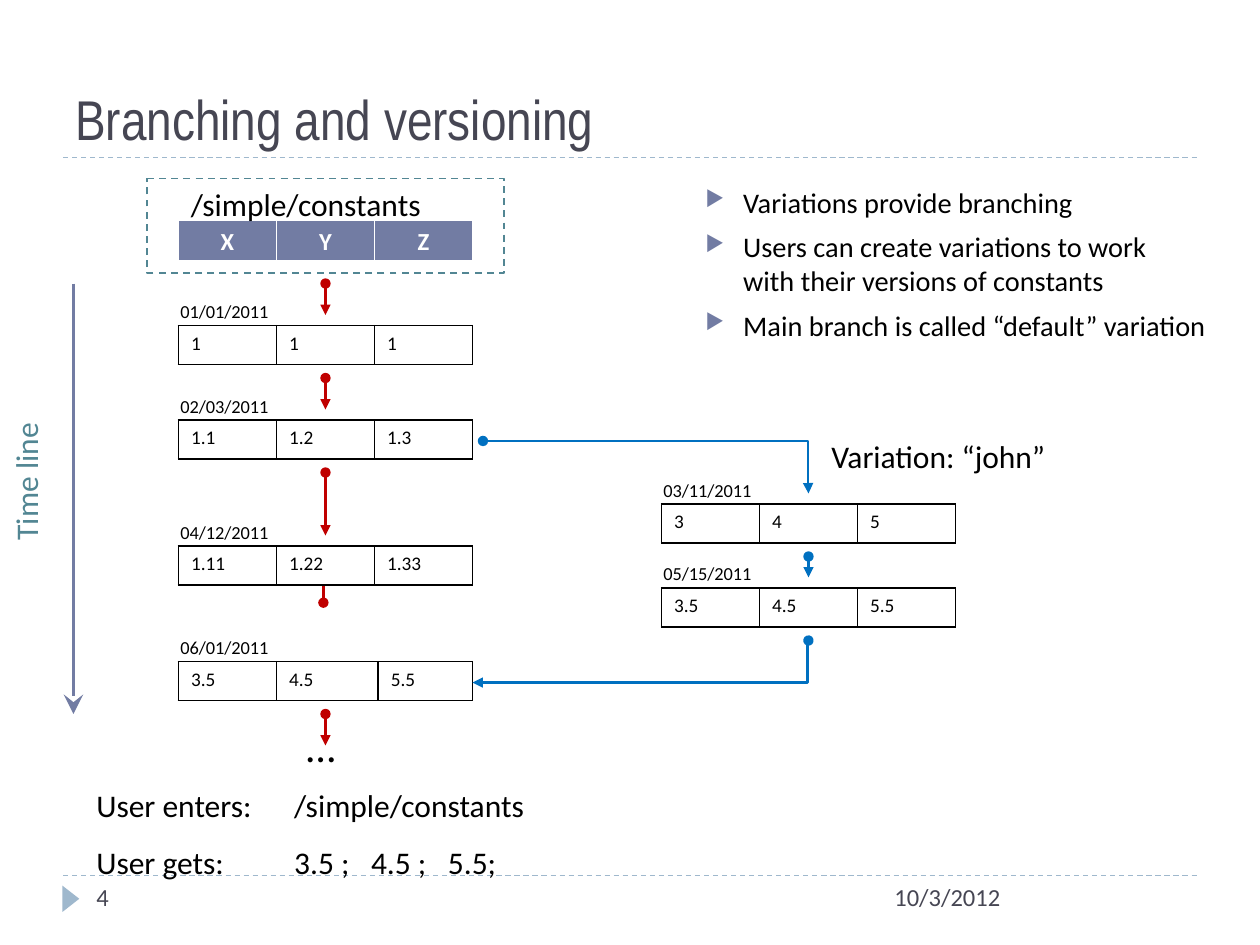
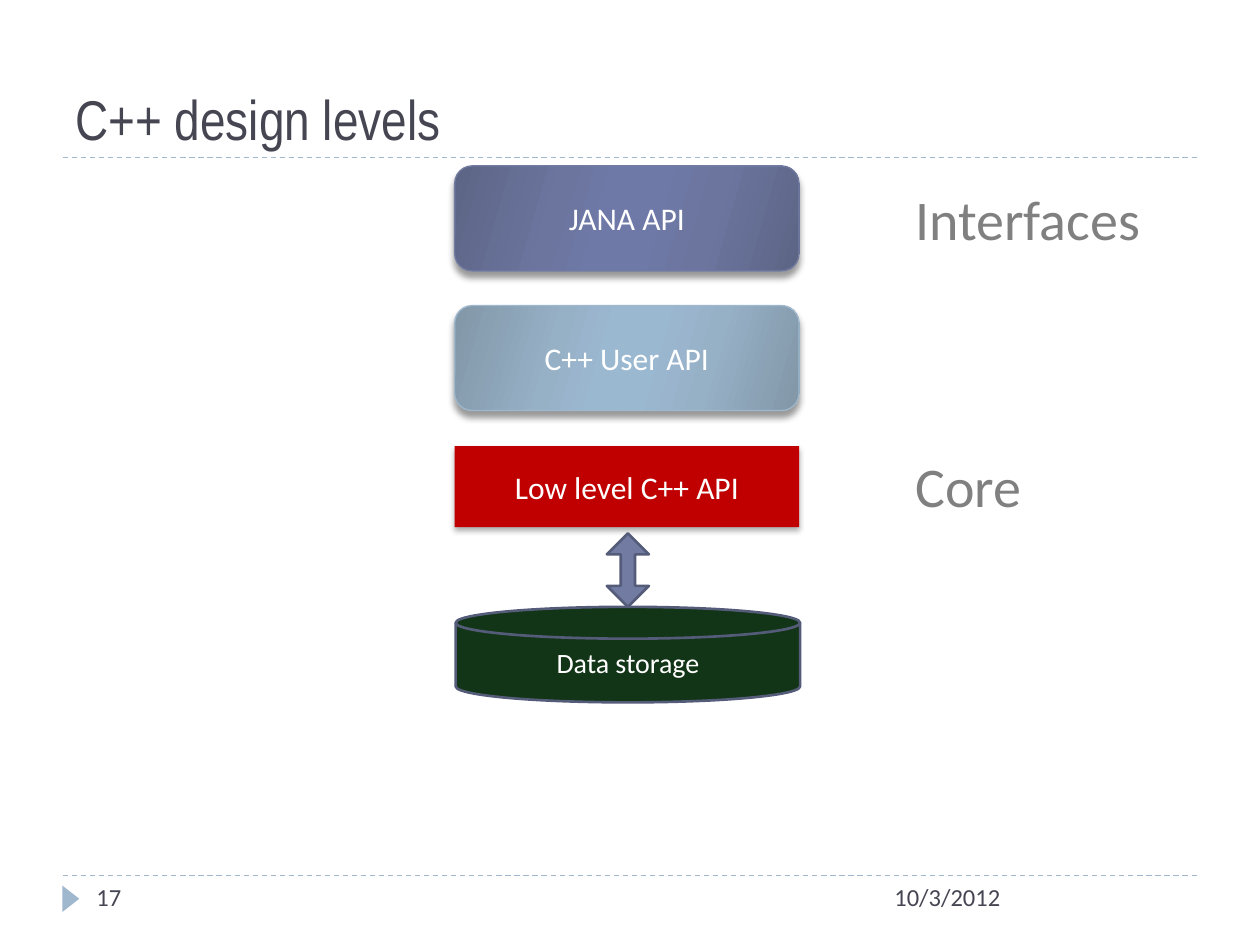
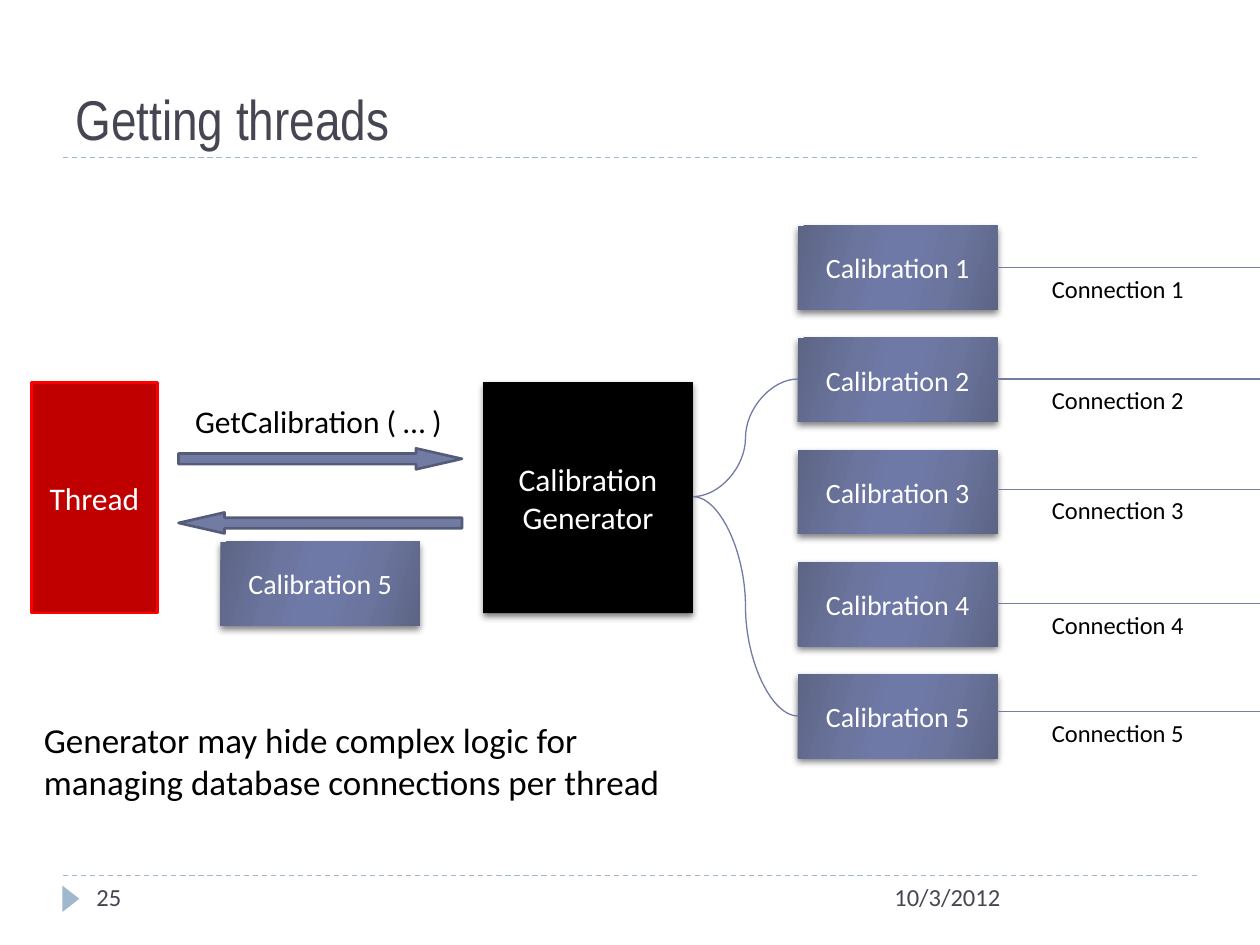
from lxml import etree
from pptx import Presentation
from pptx.dml.color import RGBColor
from pptx.enum.dml import MSO_LINE
from pptx.enum.shapes import MSO_CONNECTOR, MSO_SHAPE
from pptx.enum.text import MSO_ANCHOR, PP_ALIGN
from pptx.oxml.ns import qn
from pptx.util import Inches, Pt

DASH = MSO_LINE.DASH
STRAIGHT, ELBOW, CURVE = MSO_CONNECTOR.STRAIGHT, MSO_CONNECTOR.ELBOW, MSO_CONNECTOR.CURVE
RECT, ROUNDED = MSO_SHAPE.RECTANGLE, MSO_SHAPE.ROUNDED_RECTANGLE
TOP, MIDDLE, BOTTOM = MSO_ANCHOR.TOP, MSO_ANCHOR.MIDDLE, MSO_ANCHOR.BOTTOM
LEFT, CENTER = PP_ALIGN.LEFT, PP_ALIGN.CENTER

TITLE_FONT, BODY_FONT = "Arial Narrow", "Calibri"
COLOURS = {
    "white": "FFFFFF", "black": "000000", "title": "464653", "rule": "9FB8CD",
    "accent": "727CA3", "edge": "545C79", "teal": "528693", "grey": "808080",
    "main": "C00000", "variation": "0070C0", "alert": "FF0000", "storage": "133517",
}
STOPS = (0, 30, 45, 55, 73, 100)
GLOSS = {
    "accent": ("5D6585", "6B759E", "6E79A7"),
    "rule": ("8297A8", "96B0C6", "9BB8D1"),
}
# Opacity %, blur and distance in points
SOFT, FLAT, DEEP = (40, 4, 3.4), (32, 3.5, 2.2), (50, 4, 2)


# Grid: one cell is a twelfth of an inch, so a slide is 120 x 90 cells
def cells(*counts):
    return [Inches(count / 12) for count in counts]


def rgb(name):
    return RGBColor.from_string(COLOURS[name])


def add_xml(parent, tag, **attributes):
    return etree.SubElement(parent, qn(tag), {k: str(v) for k, v in attributes.items()})


def style(paragraph, size, colour, font=BODY_FONT, bold=None):
    paragraph.font.size = Pt(size)
    paragraph.font.name = font
    paragraph.font.bold = bold
    paragraph.font.color.rgb = rgb(colour)


def write(frame, text, size, colour, align=LEFT, anchor=TOP, font=BODY_FONT, wrap=True):
    frame.word_wrap = wrap
    frame.vertical_anchor = anchor
    frame.text = text
    for paragraph in frame.paragraphs:
        paragraph.alignment = align
        style(paragraph, size, colour, font)


def label(slide, box, text, size, colour="black", wrap=False, **options):
    area = slide.shapes.add_textbox(*cells(*box))
    write(area.text_frame, text, size, colour, wrap=wrap, **options)
    return area


def outline(line, colour, width, dash=None):
    line.color.rgb = rgb(colour)
    line.width = Pt(width)
    if dash:
        line.dash_style = dash


def block(slide, kind, box, fill, edge=None, width=1.5, dash=None, text="", size=18,
          shadow=None, gloss=False, adjust=()):
    shape = slide.shapes.add_shape(kind, *cells(*box))
    for index, value in enumerate(adjust):
        shape.adjustments[index] = value
    if gloss:
        shape.fill.gradient()
        polish(shape, GLOSS[fill])
    else:
        shape.fill.solid()
        shape.fill.fore_color.rgb = rgb(fill)
    if edge:
        outline(shape.line, edge, width, dash)
    else:
        shape.line.fill.background()
    shape.shadow.inherit = False
    if shadow:
        cast_shadow(shape, *shadow)
    if text:
        write(shape.text_frame, text, size, "white", CENTER, MIDDLE)
    return shape


def polish(shape, shades):
    gradient = shape._element.spPr.find(qn("a:gradFill"))
    stops = gradient.find(qn("a:gsLst"))
    stops.clear()
    for position, shade in zip(STOPS, shades + shades[::-1]):
        stop = add_xml(stops, "a:gs", pos=position * 1000)
        add_xml(stop, "a:srgbClr", val=shade)
    gradient.find(qn("a:lin")).set("ang", str(16 * 60000))


def cast_shadow(shape, opacity, blur, distance):
    effects = shape._element.spPr.find(qn("a:effectLst"))
    outer = add_xml(effects, "a:outerShdw", blurRad=Pt(blur), dist=Pt(distance),
                    dir=90 * 60000, rotWithShape=0)
    colour = add_xml(outer, "a:srgbClr", val=COLOURS["black"])
    add_xml(colour, "a:alpha", val=opacity * 1000)


def connect(slide, start, end, colour, width, kind=STRAIGHT, dash=None,
            head=None, tail=None, end_size="med", bend=None):
    connector = slide.shapes.add_connector(kind, *cells(*start, *end))
    outline(connector.line, colour, width, dash)
    properties = connector._element.spPr
    line = properties.find(qn("a:ln"))
    for tag, tip in (("a:headEnd", head), ("a:tailEnd", tail)):
        if tip:
            add_xml(line, tag, type=tip, w=end_size, len=end_size)
    if bend is not None:
        guides = properties.find(qn("a:prstGeom")).find(qn("a:avLst"))
        add_xml(guides, "a:gd", name="adj1", fmla=f"val {bend}")
    add_xml(properties, "a:effectLst")


# Title, rules and footer of every slide
def start_slide(deck, title, number):
    slide = deck.slides.add_slide(deck.slide_layouts[6])
    for row in (83.4, 15):
        connect(slide, (6, row), (114, row), "rule", 0.75, dash=DASH)
    marker = block(slide, MSO_SHAPE.ISOSCELES_TRIANGLE, (5.5, 84.8, 2.5, 1.6), "rule")
    marker.rotation = 90
    label(slide, (6, 2, 108, 13), title, 32, "title", wrap=True, anchor=BOTTOM, font=TITLE_FONT)
    label(slide, (84, 83.4, 30, 4.8), "10/3/2012", 14, "title", wrap=True)
    label(slide, (8, 83.4, 26, 4.8), str(number), 14, "title", wrap=True)
    return slide


# One-row table of constants
def constants_row(slide, box, values, header=False, widths=(1, 1, 1)):
    frame = slide.shapes.add_table(1, len(values), *cells(*box))
    table = frame.table
    table.first_row = table.horz_banding = False
    for column, share in zip(table.columns, widths):
        column.width = Inches(box[2] / 12 * share / sum(widths))
    for cell, value in zip(table.rows[0].cells, values):
        for side in "LRTB":
            width = 3 if header and side == "B" else 1
            border = add_xml(cell._tc.get_or_add_tcPr(), f"a:ln{side}", w=Pt(width))
            paint = add_xml(border, "a:solidFill")
            add_xml(paint, "a:srgbClr", val=COLOURS["white" if header else "black"])
        cell.text = value
        paragraph = cell.text_frame.paragraphs[0]
        if header:
            cell.fill.solid()
            cell.fill.fore_color.rgb = rgb("accent")
            paragraph.alignment = CENTER
            style(paragraph, 14, "white", bold=True)
        else:
            cell.fill.background()
            style(paragraph, 11, "black")


# Dated versions below each other, joined by arrows
def branch(slide, box, colour, versions, arrows):
    left, top, width = box
    for row, date, values, *widths in versions:
        constants_row(slide, (left, top + row, width, 3.7), values, False, *widths)
        label(slide, (left - 1, top + row - 3, 11, 3.4), date, 10.5)
    middle = left + width / 2
    for first, last in arrows:
        connect(slide, (middle, top + first), (middle, top + last), colour, 1.5,
                head="oval", tail="triangle")


def key_points(slide, box, points):
    frame = label(slide, box, "\n".join(points), 16.2, wrap=True).text_frame
    for index, paragraph in enumerate(frame.paragraphs):
        properties = paragraph._p.get_or_add_pPr()
        properties.set("marL", str(Inches(0.3)))
        properties.set("indent", str(-Inches(0.3)))
        properties.remove(properties.find(qn("a:defRPr")))
        if index:
            paragraph.space_before = Pt(6)
        bullet_colour = add_xml(properties, "a:buClr")
        add_xml(bullet_colour, "a:srgbClr", val=COLOURS["accent"])
        add_xml(properties, "a:buSzPct", val=76000)
        add_xml(properties, "a:buChar", char="▶")
        style(paragraph, 16.2, "black")


# What the user types and receives, aligned on tab stops
def user_session(slide, box, lines):
    panel = block(slide, RECT, box, "white", "white")
    frame = panel.text_frame
    frame.word_wrap = True
    frame.vertical_anchor = MIDDLE
    frame.text = "\n".join(lines)
    for paragraph in frame.paragraphs:
        paragraph.alignment = LEFT
        paragraph.line_spacing = 1.5
        stops = add_xml(paragraph._p.get_or_add_pPr(), "a:tabLst")
        for position in (1.57, 2.18, 2.79):
            add_xml(stops, "a:tab", pos=Inches(position), algn="l")
        style(paragraph, 18, "black")


def branching_slide(deck):
    slide = start_slide(deck, "Branching and versioning", 4)
    # Directory heading
    block(slide, MSO_SHAPE.FLOWCHART_PROCESS, (14, 17, 34, 9), "white", "teal", 1, DASH)
    constants_row(slide, (17, 21, 28, 4), "XYZ", header=True)
    label(slide, (17, 17, 25.2, 4.8), "/simple/constants", 18)
    # Time axis
    connect(slide, (7, 27), (7, 68), "accent", 2.25, tail="stealth", end_size="lg")
    label(slide, (-4.4, 43.4, 13.7, 4.8), "Time line", 18, "teal").rotation = 270
    # Main branch and variation
    branch(slide, (17, 17, 28), "main", [
        (14, "01/01/2011", ("1", "1", "1")),
        (23, "02/03/2011", ("1.1", "1.2", "1.3")),
        (35, "04/12/2011", ("1.11", "1.22", "1.33")),
        (46, "06/01/2011", ("3.5", "4.5", "5.5"), (0.78, 0.81, 0.75)),
    ], [(10, 13), (19, 22), (28, 34), (51, 54)])
    connect(slide, (30.8, 55.8), (30.8, 57.4), "main", 1.5, tail="oval")
    label(slide, (28, 68, 5.3, 6), "…", 24)
    branch(slide, (63, 41, 28), "variation", [
        (7, "03/11/2011", ("3", "4", "5")),
        (15, "05/15/2011", ("3.5", "4.5", "5.5")),
    ], [(12, 14)])
    label(slide, (78, 41, 23, 4.8), "Variation: “john”", 18)
    for start, end, bend in (((46, 42), (77, 47), 99900), ((77, 61), (45, 65), 300)):
        connect(slide, start, end, "variation", 1.5, ELBOW,
                head="oval", tail="triangle", bend=bend)
    key_points(slide, (66, 17, 51, 14), [
        "Variations provide branching",
        "Users can create variations to work \vwith their versions of constants",
        "Main branch is called “default” variation",
    ])
    user_session(slide, (8, 74, 78, 9), [
        "User enters:\t/simple/constants",
        "User gets:\t3.5 ;\t4.5 ;\t5.5;",
    ])


# Stack of layers above the storage
def layer_stack(slide, box):
    left, top, width = box
    for row, text, fill in ((0, "JANA API", "accent"), (13.3, "C++ User API", "rule")):
        block(slide, ROUNDED, (left, top + row, width, 10), fill, fill, 0.75,
              text=text, shadow=SOFT, gloss=True)
    block(slide, RECT, (left, top + 26.7, width, 7.7), "main",
          text="Low level C++ API", shadow=FLAT)
    block(slide, MSO_SHAPE.FLOWCHART_MAGNETIC_DISK, (left + 0.1, top + 42, width, 9.1),
          "storage", "edge", text="Data storage", size=16)
    block(slide, MSO_SHAPE.UP_DOWN_ARROW, (left + width / 2 - 1.9, top + 35, 4, 7),
          "accent", "edge", adjust=(0.41, 0.34))


def levels_slide(deck):
    slide = start_slide(deck, "C++ design levels", 17)
    layer_stack(slide, (43.3, 15.8, 32.8))
    for row, width, level in ((17, 24, "Interfaces"), (42.4, 13.8, "Core")):
        label(slide, (86, row, width, 7.7), level, 32, "grey")


def calibration(slide, left, top, number):
    block(slide, RECT, (left, top, 19, 8), "accent", text=f"Calibration {number}",
          size=16, shadow=DEEP, gloss=True)


# Calibrations, each with its own connection
def calibration_column(slide, box):
    left, top, width = box
    for index, row in enumerate((4, 14.6, 25.1, 36, 46.3)):
        calibration(slide, left, top + 10.68 * index, index + 1)
        connect(slide, (left + 19, top + row), (left + width, top + row), "accent", 0.75)
        label(slide, (left + 23, top + row, 15.1, 4.1), f"Connection {index + 1}", 14)


# Request and reply between thread and generator
def exchange(slide, box):
    left, top, width = box
    for row, turn in ((6.3, 0), (12.4, 180)):
        arrow = block(slide, MSO_SHAPE.RIGHT_ARROW, (left, top + row, width, 2),
                      "accent", "edge", adjust=(0.5, 2.19))
        arrow.rotation = turn
    label(slide, (left + 0.4, top + 1.3, 26.3, 4.8), "GetCalibration ( … )", 18)
    calibration(slide, left + 4, top + 15.2, 5)


def threads_slide(deck):
    slide = start_slide(deck, "Getting threads", 25)
    block(slide, RECT, (3, 36.4, 12, 22), "main", "alert", text="Thread")
    block(slide, RECT, (46, 36.4, 20, 22), "black", text="Calibration\vGenerator", shadow=DEEP)
    exchange(slide, (17, 36.4, 27))
    calibration_column(slide, (76, 21.5, 44))
    for row in (36.1, 68.2):
        connect(slide, (66, 47.3), (76, row), "accent", 0.75, CURVE)
    label(slide, (3, 67.8, 63, 9.2),
          "Generator may hide complex logic for managing database connections per thread",
          20, wrap=True)


def main():
    deck = Presentation()
    deck.slide_width, deck.slide_height = cells(120, 90)
    branching_slide(deck)
    levels_slide(deck)
    threads_slide(deck)
    deck.save("out.pptx")


if __name__ == "__main__":
    main()
